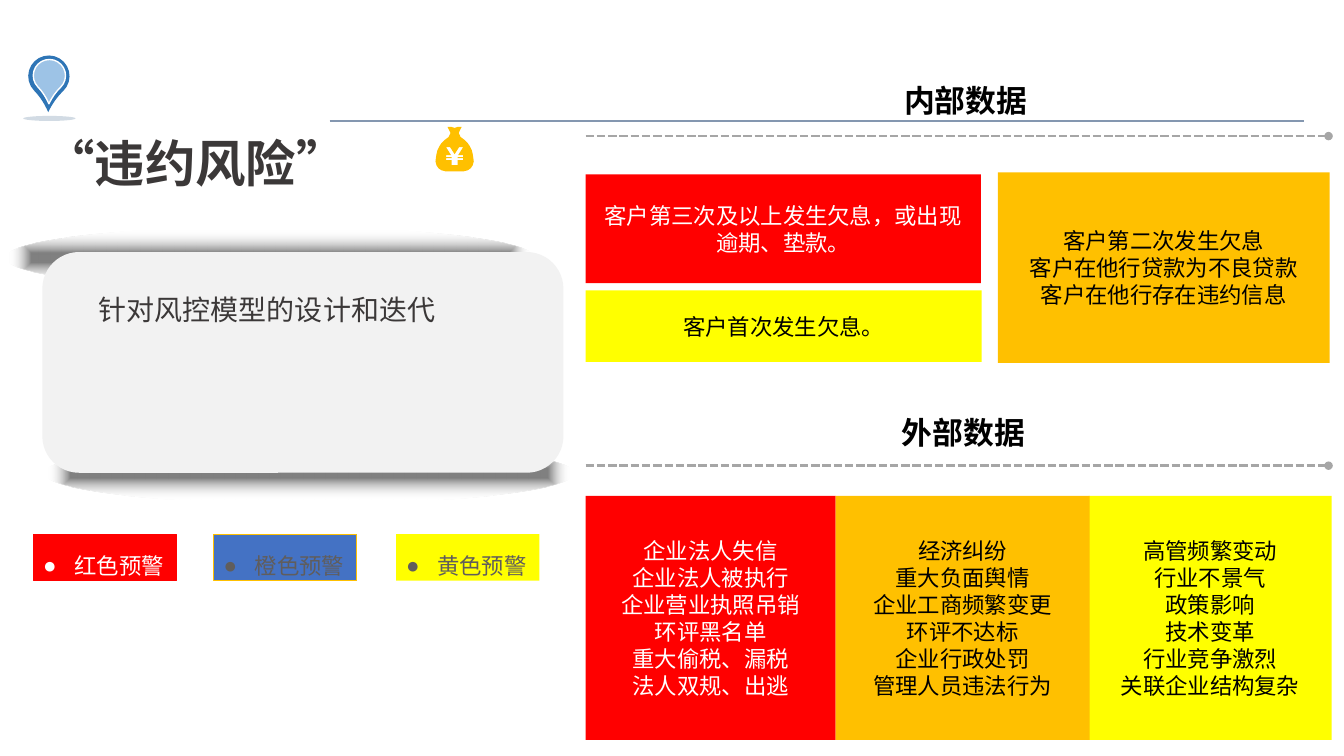
from dataclasses import dataclass
from typing import Optional

from lxml.etree import SubElement
from pptx import Presentation
from pptx.dml.color import RGBColor
from pptx.enum.dml import MSO_LINE
from pptx.enum.lang import MSO_LANGUAGE_ID
from pptx.enum.shapes import MSO_CONNECTOR, MSO_SHAPE
from pptx.enum.text import MSO_ANCHOR, MSO_AUTO_SIZE, PP_ALIGN
from pptx.oxml import parse_xml
from pptx.oxml.ns import nsdecls, qn
from pptx.util import Inches, Length, Pt

# Grid: ten columns and ten rows to the inch
COLUMNS, ROWS = 133.33, 75
CJK = "Noto Sans CJK SC"
COLORS = {
    "red": "FF0000", "orange": "FFC000", "yellow": "FFFF00", "blue": "4472C4",
    "pin": "2E75B6", "pin_core": "9DC3E6", "pin_shadow": "1F4E79",
    "rule": "8497B0", "dash": "A6A6A6", "panel": "F2F2F2", "shade": "808080",
    "title": "3B3838", "muted": "605D5C", "white": "FFFFFF", "black": "000000",
}


@dataclass(frozen=True)
class Box:
    left: float
    top: float
    width: float
    height: float


@dataclass(frozen=True)
class Card:
    box: Box
    fill: str
    color: str
    lines: tuple[str, ...]


@dataclass(frozen=True)
class Legend:
    left: float
    fill: str
    border: Optional[str]
    color: str
    label: str


@dataclass(frozen=True)
class Section:
    heading: str
    heading_left: float
    heading_top: float
    rule_row: float
    cards: tuple[Card, ...]


LEGENDS = (
    Legend(3.3, "red", "red", "white", "红色预警"),
    Legend(21.2, "blue", "orange", "muted", "橙色预警"),
    Legend(39.3, "yellow", None, "muted", "黄色预警"),
)
SECTIONS = (
    Section("内部数据", 88.7, 7.6, 13.5, (
        Card(Box(58.1, 17.3, 39.2, 10.8), "red", "white",
             ("客户第三次及以上发生欠息，或出现逾期、垫款。",)),
        Card(Box(99, 17.1, 32.9, 18.9), "orange", "black",
             ("客户第二次发生欠息", "客户在他行贷款为不良贷款", "客户在他行存在违约信息")),
        Card(Box(58.1, 28.8, 39.3, 7.1), "yellow", "black", ("客户首次发生欠息。",)),
    )),
    Section("外部数据", 88.5, 40.6, 46.2, (
        Card(Box(58.1, 49.2, 24.8, 24.2), "red", "white",
             ("企业法人失信", "企业法人被执行", "企业营业执照吊销",
              "环评黑名单", "重大偷税、漏税", "法人双规、出逃")),
        Card(Box(108, 49.2, 24.1, 24.2), "yellow", "black",
             ("高管频繁变动", "行业不景气", "政策影响",
              "技术变革", "行业竞争激烈", "关联企业结构复杂")),
        Card(Box(82.9, 49.2, 25.2, 24.2), "orange", "black",
             ("经济纠纷", "重大负面舆情", "企业工商频繁变更",
              "环评不达标", "企业行政处罚", "管理人员违法行为")),
    )),
)
# Right halves of the money bag, as (distance from its axis, row)
BAG_AXIS = 45.1
BAG_SIDE = ((0, 12.7), (0.3, 12.6), (0.7, 12.6), (0.6, 12.8), (0.4, 13.2),
            (0.5, 13.4), (0.6, 13.6), (1, 13.9), (1.3, 14.2), (1.5, 14.5),
            (1.7, 14.9), (1.8, 15.3), (1.9, 16), (1.8, 16.4), (1.6, 16.7),
            (1.3, 16.9), (0.9, 17))
YEN_SIDE = ((0, 15.3), (0.45, 14.6), (0.85, 14.6), (0.35, 15.4), (0.85, 15.4),
            (0.85, 15.6), (0.3, 15.6), (0.3, 15.7), (0.85, 15.7),
            (0.85, 15.9), (0.3, 15.9), (0.3, 16.4))


def cells(count: float) -> Length:
    return Inches(count / 10)


def rgb(name: str) -> RGBColor:
    return RGBColor.from_string(COLORS[name])


def place(box: Box) -> tuple[Length, ...]:
    return tuple(map(cells, (box.left, box.top, box.width, box.height)))


def add_block(slide, kind, box: Box, fill: str, border: Optional[str] = None,
              weight: float = 0.75):
    block = slide.shapes.add_shape(kind, *place(box))
    block.shadow.inherit = False
    block.fill.solid()
    block.fill.fore_color.rgb = rgb(fill)
    if border:
        block.line.color.rgb = rgb(border)
        block.line.width = Pt(weight)
    else:
        block.line.fill.background()
    return block


def write(holder, *lines: str, size: float, color: str, font: str = CJK,
          bold: bool = False, align=PP_ALIGN.LEFT, anchor=MSO_ANCHOR.TOP,
          wrap: bool = True, grow: bool = False, spacing: Optional[float] = None,
          margin: float = 0, indent: float = 0, bullet: str = "") -> None:
    frame = holder.text_frame
    frame.word_wrap = wrap
    frame.vertical_anchor = anchor
    frame.auto_size = MSO_AUTO_SIZE.SHAPE_TO_FIT_TEXT if grow else MSO_AUTO_SIZE.NONE
    for index, line in enumerate(lines):
        paragraph = frame.add_paragraph() if index else frame.paragraphs[0]
        paragraph.alignment = align
        if spacing:
            paragraph.line_spacing = spacing
        layout = paragraph._p.get_or_add_pPr()
        layout.set("marL", str(cells(margin)))
        layout.set("indent", str(cells(indent)))
        if bullet:
            SubElement(layout, qn("a:buFont")).set("typeface", "Arial")
            SubElement(layout, qn("a:buChar")).set("char", bullet)
        run = paragraph.add_run()
        run.text = line
        run.font.size, run.font.bold, run.font.name = Pt(size), bold, font
        run.font.color.rgb = rgb(color)
        run.font.language_id = MSO_LANGUAGE_ID.SIMPLIFIED_CHINESE
        SubElement(run._r.get_or_add_rPr(), qn("a:ea")).set("typeface", font)


def add_rule(slide, left: float, right: float, row: float, color: str,
             dotted: bool = False) -> None:
    rule = slide.shapes.add_connector(
        MSO_CONNECTOR.STRAIGHT, cells(left), cells(row), cells(right), cells(row))
    rule.line.color.rgb = rgb(color)
    rule.line.width = Pt(2)
    if dotted:
        rule.line.dash_style = MSO_LINE.SQUARE_DOT
        SubElement(rule.line._get_or_add_ln(), qn("a:tailEnd")).set("type", "oval")
    SubElement(rule._element.spPr, qn("a:effectLst"))


def add_glow(slide, box: Box) -> None:
    glow = add_block(slide, MSO_SHAPE.OVAL, box, "shade")
    solid = glow._element.spPr.find(qn("a:solidFill"))
    solid.getparent().replace(solid, parse_xml(
        f'<a:gradFill {nsdecls("a")} rotWithShape="1"><a:gsLst>'
        f'<a:gs pos="15000"><a:srgbClr val="{COLORS["shade"]}"/></a:gs>'
        f'<a:gs pos="86000"><a:srgbClr val="{COLORS["white"]}"><a:alpha val="0"/>'
        '</a:srgbClr></a:gs></a:gsLst><a:path path="shape">'
        '<a:fillToRect l="50000" t="50000" r="50000" b="50000"/></a:path></a:gradFill>'))


def mirrored(side: tuple) -> list[tuple[Length, Length]]:
    outline = list(side) + [(-x, y) for x, y in reversed(side)]
    return [(cells(BAG_AXIS + x), cells(y)) for x, y in outline]


def add_money_bag(slide) -> None:
    bag, yen = mirrored(BAG_SIDE), mirrored(YEN_SIDE)
    builder = slide.shapes.build_freeform(*bag[0])
    builder.add_line_segments(bag[1:], close=True)
    builder.move_to(*yen[0])
    builder.add_line_segments(yen[1:], close=True)
    money_bag = builder.convert_to_shape()
    money_bag.shadow.inherit = False
    money_bag.fill.solid()
    money_bag.fill.fore_color.rgb = rgb("orange")
    money_bag.line.fill.background()


def add_pin(slide) -> None:
    for box, fill, border in ((Box(2.8, 5.5, 4.1, 4.1), "pin", None),
                              (Box(3.3, 5.9, 3.2, 3.2), "pin_core", "white")):
        drop = add_block(slide, MSO_SHAPE.TEAR, box, fill, border, weight=1)
        drop.adjustments[0] = 1.236
        drop.rotation = 136
    ground = add_block(slide, MSO_SHAPE.OVAL, Box(2.3, 11.5, 5.2, 0.5), "pin_shadow")
    tint = ground._element.spPr.find(qn("a:solidFill"))[0]
    SubElement(tint, qn("a:alpha")).set("val", "20000")


def main() -> None:
    deck = Presentation()
    deck.slide_width, deck.slide_height = cells(COLUMNS), cells(ROWS)
    slide = deck.slides.add_slide(deck.slide_layouts[6])

    # Header ornaments
    add_pin(slide)
    add_rule(slide, 32.7, 129.4, 12, "rule")

    # Topic panel and title
    for left, top in ((4.4, 43.9), (0.5, 22.5)):
        add_glow(slide, Box(left, top, 52.5, 6.1))
    add_block(slide, MSO_SHAPE.ROUNDED_RECTANGLE, Box(4.2, 25, 51.7, 21.9), "panel")
    title = slide.shapes.add_textbox(*place(Box(3.4, 9.5, 45.9, 13.2)))
    write(title, "“违约风险”", size=36, color="title", bold=True,
          anchor=MSO_ANCHOR.MIDDLE)
    add_money_bag(slide)
    topic = slide.shapes.add_textbox(*place(Box(5.9, 26.9, 44.9, 6.1)))
    write(topic, "针对风控模型的设计和迭代", size=20, color="title", font="Calibri",
          align=PP_ALIGN.JUSTIFY, grow=True, spacing=1.5, indent=2.9)

    # Warning levels
    for level in LEGENDS:
        chip = add_block(slide, MSO_SHAPE.RECTANGLE, Box(level.left, 53, 14.2, 4.6),
                         level.fill, level.border)
        write(chip, level.label, size=16, color=level.color, wrap=False, grow=True,
              spacing=1.5, margin=3.1, indent=-3.1, bullet="●")

    # Internal and external data
    for section in SECTIONS:
        add_rule(slide, 58.1, 131.8, section.rule_row, "dash", dotted=True)
        for card in section.cards:
            panel = add_block(slide, MSO_SHAPE.RECTANGLE, card.box, card.fill)
            write(panel, *card.lines, size=16, color=card.color,
                  align=PP_ALIGN.CENTER, anchor=MSO_ANCHOR.MIDDLE)
        heading = slide.shapes.add_textbox(
            *place(Box(section.heading_left, section.heading_top, 14.4, 7.7)))
        write(heading, section.heading, size=22, color="black", bold=True,
              wrap=False, grow=True)

    deck.save("out.pptx")


if __name__ == "__main__":
    main()
